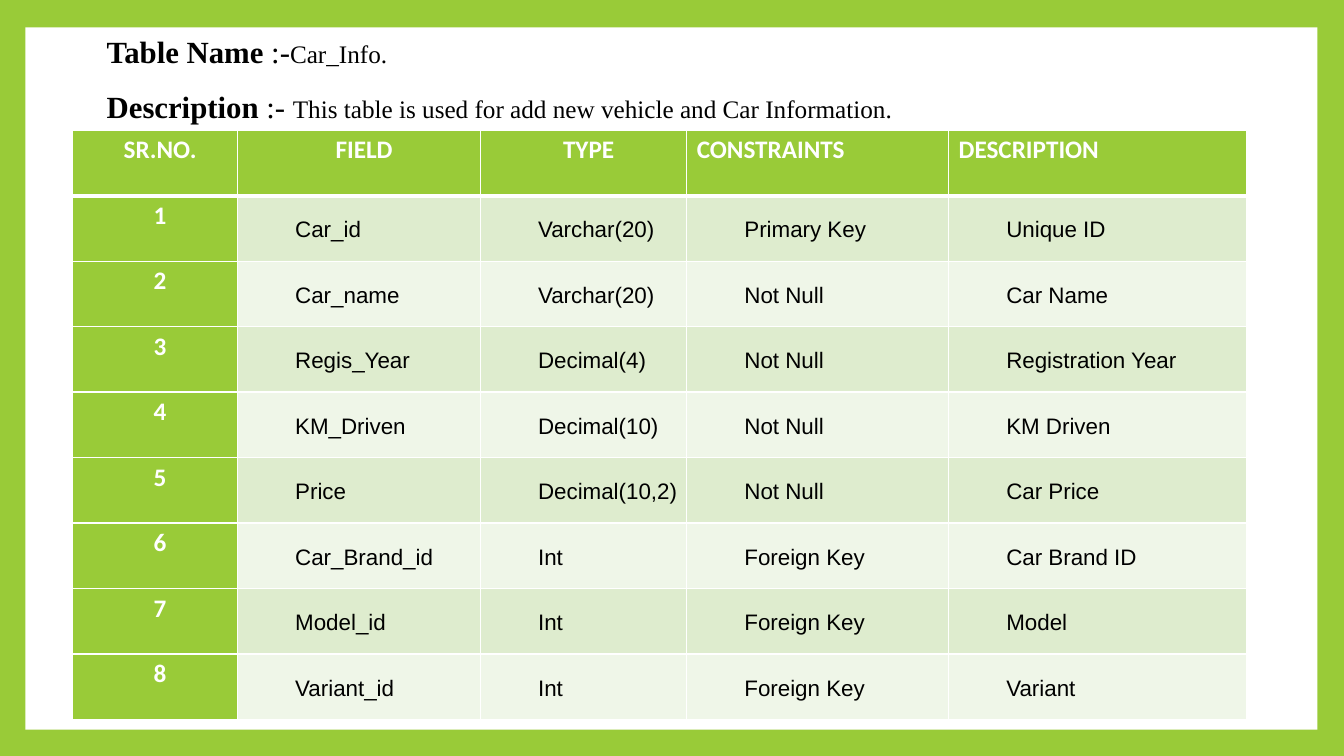
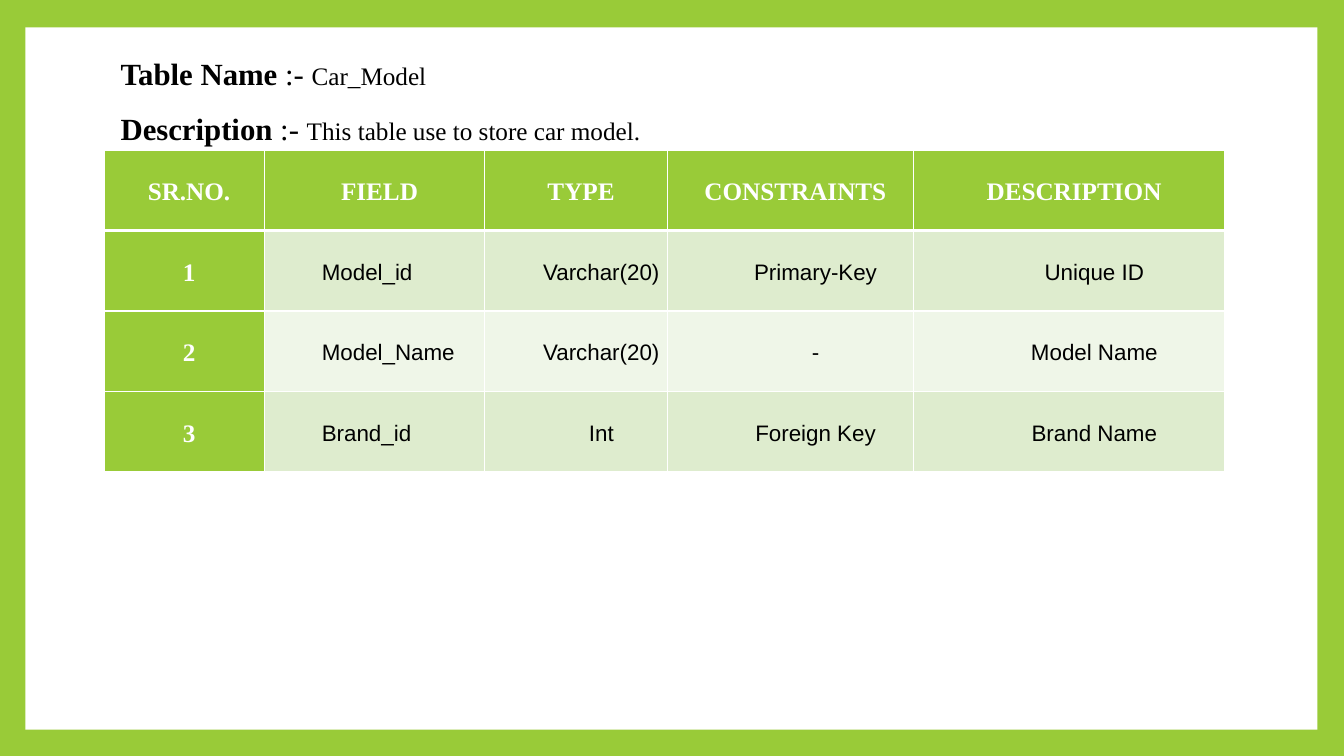
import pptx
import pptx.util
import pptx.dml.color
import pptx.enum.shapes
import pptx.enum.text
import pptx.oxml

Cm = pptx.util.Cm
MIDDLE = pptx.enum.text.MSO_ANCHOR.MIDDLE
TOP = pptx.enum.text.MSO_ANCHOR.TOP
ALIGN = {"l": pptx.enum.text.PP_ALIGN.LEFT, "c": pptx.enum.text.PP_ALIGN.CENTER}
COLORS = {
    "green": "99CB38",
    "band_dark": "DEECCE",
    "band_light": "EFF6E8",
    "white": "FFFFFF",
    "black": "000000",
}
A_NS = "http://schemas.openxmlformats.org/drawingml/2006/main"
HEADERS = ["SR.NO.", "FIELD", "TYPE", "CONSTRAINTS", "DESCRIPTION"]

TABLES = [
    {
        "title_box": (2.44, 0.23, 26.95, 3.05),
        "title": [
            ("Table Name", " :-", "Car_Info."),
            ("Description", " :- ", "This table is used for add new vehicle and Car Information."),
        ],
        "left": 1.83, "top": 3.28, "row_height": 1.65,
        "widths": [4.16, 6.12, 5.2, 6.6, 7.5],
        "head_font": "Calibri", "head_anchor": TOP,
        "head_align": "cccll", "body_align": "cllll",
        "rows": [
            ("Car_id", "Varchar(20)", "Primary Key", "Unique ID"),
            ("Car_name", "Varchar(20)", "Not Null", "Car Name"),
            ("Regis_Year", "Decimal(4)", "Not Null", "Registration Year"),
            ("KM_Driven", "Decimal(10)", "Not Null", "KM Driven"),
            ("Price", "Decimal(10,2)", "Not Null", "Car Price"),
            ("Car_Brand_id", "Int", "Foreign Key", "Car Brand ID"),
            ("Model_id", "Int", "Foreign Key", "Model"),
            ("Variant_id", "Int", "Foreign Key", "Variant"),
        ],
    },
    {
        "title_box": (2.79, 0.79, 25.07, 2.72),
        "title": [
            ("Table Name", " :- ", "Car_Model"),
            ("Description", " :- ", "This table use to store car model."),
        ],
        "left": 2.62, "top": 3.78, "row_height": 2.03,
        "widths": [4.04, 5.56, 4.6, 6.2, 7.85],
        "head_font": "Times New Roman", "head_anchor": MIDDLE,
        "head_align": "ccccc", "body_align": "clccc",
        "rows": [
            ("Model_id", "Varchar(20)", "Primary-Key", "Unique ID"),
            ("Model_Name", "Varchar(20)", "-", "Model Name"),
            ("Brand_id", "Int", "Foreign Key", "Brand Name"),
        ],
    },
]


def add_run(p, text, font="Times New Roman", size=18, color="black", bold=False):
    r = p.add_run()
    r.text = text
    r.font.name = font
    r.font.size = pptx.util.Pt(size)
    r.font.bold = bold
    r.font.color.rgb = pptx.dml.color.RGBColor.from_string(COLORS[color])


def style_cell(cell, fill, top_width, bottom_width):
    """Give a cell white borders (widths in points) and a solid fill."""
    tc_pr = cell._tc.get_or_add_tcPr()
    for side, width in (("L", 1), ("R", 1), ("T", top_width), ("B", bottom_width)):
        tc_pr.append(pptx.oxml.parse_xml(
            f'<a:ln{side} xmlns:a="{A_NS}" w="{pptx.util.Pt(width)}"><a:solidFill>'
            f'<a:srgbClr val="{COLORS["white"]}"/></a:solidFill></a:ln{side}>'))
    cell.fill.solid()
    cell.fill.fore_color.rgb = pptx.dml.color.RGBColor.from_string(COLORS[fill])


prs = pptx.Presentation()
prs.slide_width = Cm(33.87)
prs.slide_height = Cm(19.05)
layout = prs.slide_layouts[6]

# Shared look: green background with a white panel, held by the layout
for placeholder in list(layout.placeholders):
    layout.shapes.element.remove(placeholder.element)
layout.background.fill.solid()
layout.background.fill.fore_color.rgb = pptx.dml.color.RGBColor.from_string(COLORS["green"])
slides = [prs.slides.add_slide(layout) for _ in TABLES]
panel = slides[0].shapes.add_shape(
    pptx.enum.shapes.MSO_SHAPE.RECTANGLE, Cm(0.64), Cm(0.69), Cm(32.56), Cm(17.7))
panel.shadow.inherit = False
panel.fill.solid()
panel.fill.fore_color.rgb = pptx.dml.color.RGBColor.from_string(COLORS["white"])
panel.line.fill.background()
layout.shapes.element.append(panel.element)

for s, info in zip(slides, TABLES):
    rows = [HEADERS] + [(str(n), *row) for n, row in enumerate(info["rows"], 1)]
    table = s.shapes.add_table(
        len(rows), len(HEADERS), Cm(info["left"]), Cm(info["top"]),
        Cm(sum(info["widths"])), Cm(info["row_height"] * len(rows))).table
    for column, width in zip(table.columns, info["widths"]):
        column.width = Cm(width)

    for i, row in enumerate(rows):
        table.rows[i].height = Cm(info["row_height"])
        aligns = info["body_align"] if i else info["head_align"]
        for j, text in enumerate(row):
            is_head = i == 0 or j == 0
            band = "band_dark" if i % 2 else "band_light"
            cell = table.cell(i, j)
            style_cell(cell, "green" if is_head else band,
                       3 if i == 1 else 1, 3 if i == 0 else 1)
            cell.margin_left = Cm(0.25 if is_head else 1.45)
            cell.margin_right = Cm(0 if is_head else 0.18)
            cell.margin_top = cell.margin_bottom = 0
            cell.vertical_anchor = info["head_anchor"] if is_head else MIDDLE
            p = cell.text_frame.paragraphs[0]
            p.alignment = ALIGN[aligns[j]]
            p.line_spacing = 1.15
            if is_head:
                add_run(p, text, font=info["head_font"], color="white", bold=True)
            else:
                add_run(p, text, font="Arial", size=16)

    tf = s.shapes.add_textbox(*map(Cm, info["title_box"])).text_frame
    tf.word_wrap = True
    for i, (label, separator, value) in enumerate(info["title"]):
        p = tf.add_paragraph() if i else tf.paragraphs[0]
        p.line_spacing = 1.5
        add_run(p, label, size=22, bold=True)
        add_run(p, separator, size=22)
        add_run(p, value)

prs.save("out.pptx")
